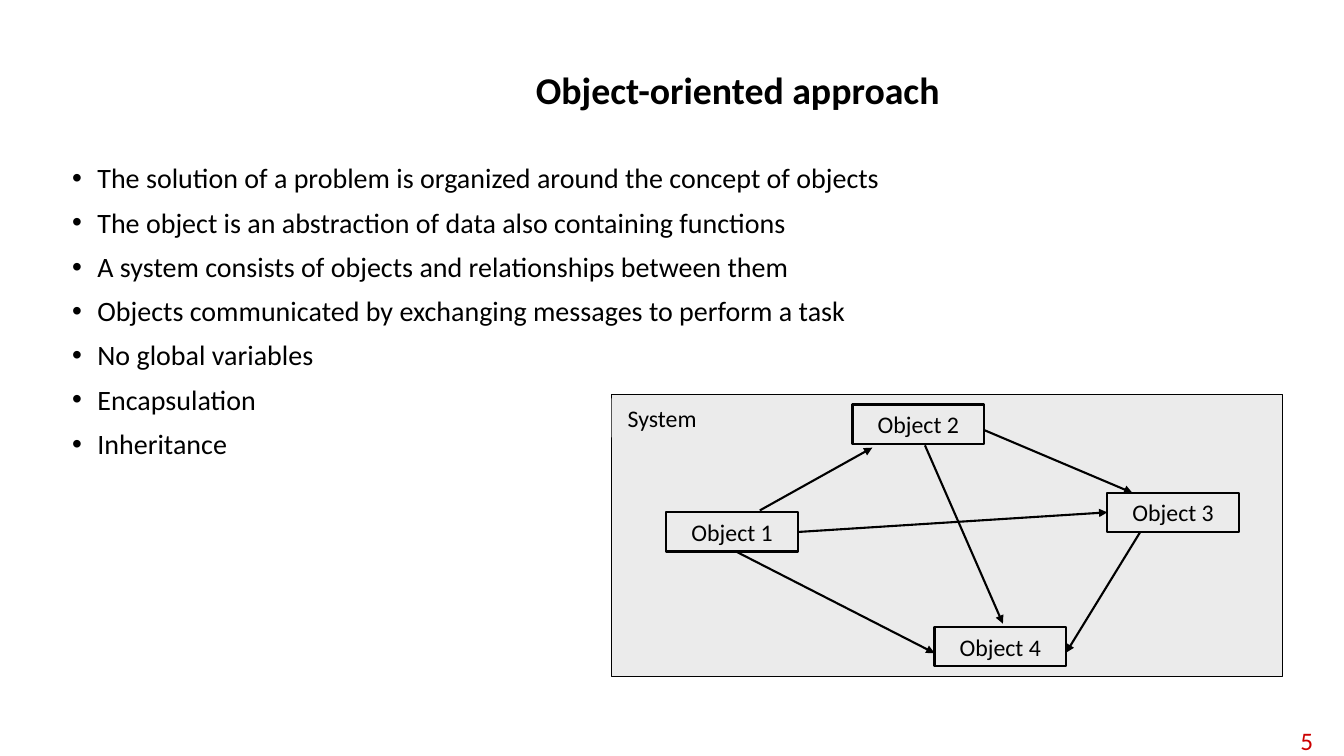
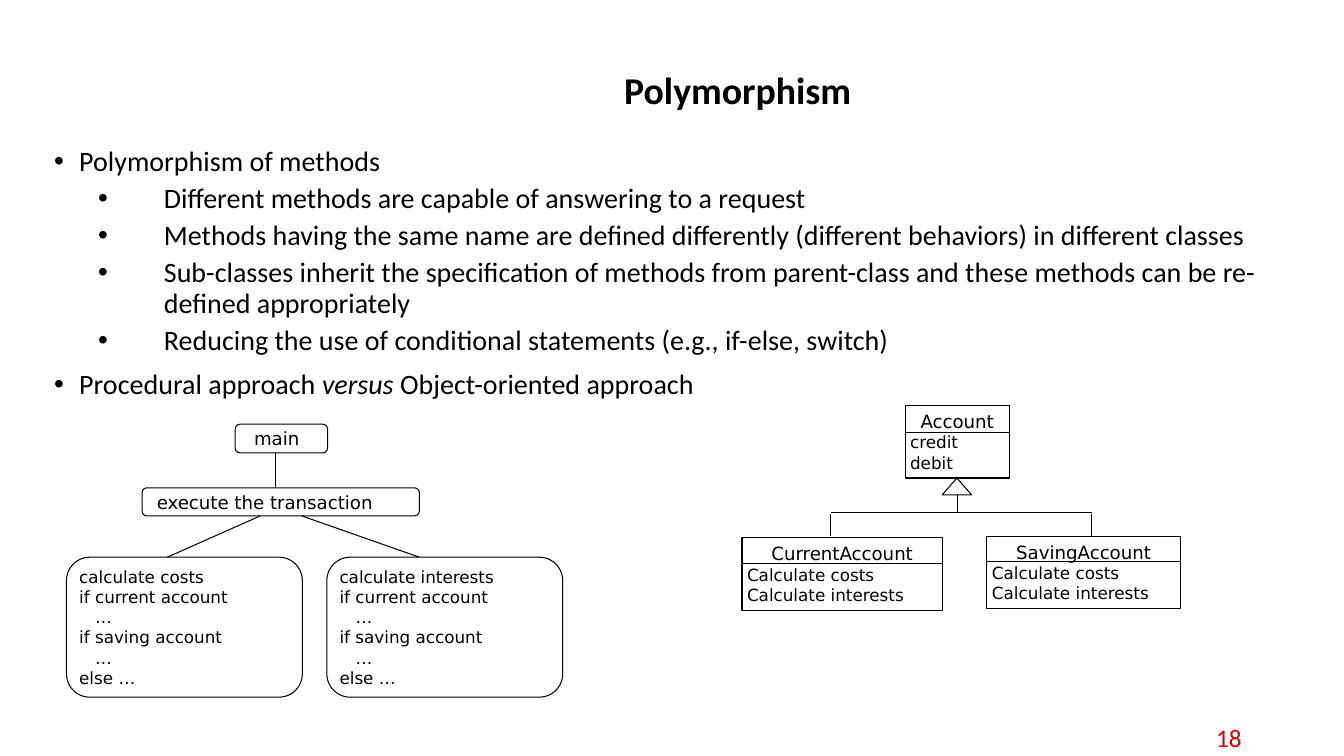
from lxml import etree
from pptx import Presentation
from pptx.dml.color import RGBColor
from pptx.enum import shapes, text
from pptx.oxml.ns import qn
from pptx.util import Pt

BLACK = RGBColor(0x00, 0x00, 0x00)
RED = RGBColor(0xCC, 0x00, 0x00)
GREY = RGBColor(0xEB, 0xEB, 0xEB)
BODY_FONT, DIAGRAM_FONT = "Calibri", "DejaVu Sans"
LEFT, CENTER, RIGHT = text.PP_ALIGN.LEFT, text.PP_ALIGN.CENTER, text.PP_ALIGN.RIGHT
TOP, MIDDLE = text.MSO_ANCHOR.TOP, text.MSO_ANCHOR.MIDDLE
RECTANGLE = shapes.MSO_SHAPE.RECTANGLE
ROUNDED = shapes.MSO_SHAPE.ROUNDED_RECTANGLE

# Per bullet level: left margin, hanging indent, space before
BULLET_LEVELS = [(18, -18, 10), (78.5, -47, 5)]

APPROACH_BULLETS = [
    (0, "The solution of a problem is organized around the concept of objects"),
    (0, "The object is an abstraction of data also containing functions"),
    (0, "A system consists of objects and relationships between them"),
    (0, "Objects communicated by exchanging messages to perform a task"),
    (0, "No global variables"),
    (0, "Encapsulation"),
    (0, "Inheritance"),
]
SYSTEM_BOX = (437, 281.5, 479, 201.5)
SYSTEM_LABEL_BOX = (437, 284.5, 72, 28)
OBJECT_SIZE = (94, 28)
OBJECTS = {
    "Object 2": (609, 289),
    "Object 4": (667.5, 448),
    "Object 1": (476, 366),
    "Object 3": (791, 352),
}
# Sender and receiver, each with the end point as fractions of its box
MESSAGES = [
    ("Object 2", (1, 0.65), "Object 3", (0.19, 0)),
    ("Object 1", (1, 0.5), "Object 3", (0, 0.5)),
    ("Object 1", (0.53, 1), "Object 4", (0, 0.66)),
    ("Object 1", (0.71, -0.05), "Object 2", (0.15, 1.1)),
    ("Object 2", (0.55, 1.04), "Object 4", (0.52, -0.09)),
    ("Object 3", (0.25, 1), "Object 4", (1, 0.65)),
]

# A text between asterisks is italic
POLYMORPHISM_BULLETS = [
    (0, "Polymorphism of methods"),
    (1, "Different methods are capable of answering to a request"),
    (1, "Methods having the same name are defined differently (different behaviors) "
        "in different classes"),
    (1, "Sub-classes inherit the specification of methods from parent-class and "
        "these methods can be re-defined appropriately"),
    (1, "Reducing the use of conditional statements (e.g., if-else, switch)"),
    (0, "Procedural approach *versus* Object-oriented approach"),
]
BRANCHES = ["if current account", "   …", "if saving account", "   …", "else …"]
# Box, text size, left inset, lines
PROCEDURES = [
    ((168, 303, 66, 20.5), 13, 12.5, ["main"]),
    ((101.5, 348.5, 198, 20), 13, 9.5, ["execute the transaction"]),
    ((47.5, 398, 168.5, 100), 12, 4.2, ["calculate costs", *BRANCHES]),
    ((233.5, 398, 168.5, 100), 12, 4.2, ["calculate interests", *BRANCHES]),
]
CALLS = [
    ((197, 323.5), (197, 348.5)),
    ((186, 368.5), (119.5, 398)),
    ((215.5, 368.5), (299.5, 398)),
]
# Name, box, height of the name compartment, methods
CLASSES = [
    ("Account", (646.5, 289.5, 74.5, 52), 19.5, ["credit", "debit"]),
    ("SavingAccount", (705, 383, 138, 52), 18,
     ["Calculate costs", "Calculate interests"]),
    ("CurrentAccount", (530, 384, 143, 52), 18.5,
     ["Calculate costs", "Calculate interests"]),
]
INHERITANCE_TRIANGLE = (673, 341.5, 21, 12)
INHERITANCE_LINES = [
    ((684, 353.5), (684, 366)),
    ((593.5, 366), (780, 366)),
    ((593.5, 367), (593.5, 383)),
    ((780, 367), (780, 383)),
]


def points(values):
    return [Pt(value) for value in values]


def set_font(paragraph, size, name=BODY_FONT, color=BLACK, bold=False):
    font = paragraph.font
    font.size, font.name, font.bold = Pt(size), name, bold
    font.color.rgb = color


def set_frame(frame, anchor=MIDDLE, insets=(0, 0, 0, 0)):
    frame.word_wrap = True
    frame.vertical_anchor = anchor
    (frame.margin_left, frame.margin_top,
     frame.margin_right, frame.margin_bottom) = points(insets)


def write_lines(frame, lines):
    """Fill a frame with (text, size, alignment, font name) lines."""
    for index, (line, size, alignment, name) in enumerate(lines):
        paragraph = frame.add_paragraph() if index else frame.paragraphs[0]
        paragraph.text = line
        paragraph.alignment = alignment
        set_font(paragraph, size, name)


def add_box(slide, box, kind=RECTANGLE, fill=None, line_width=0.75):
    shape = slide.shapes.add_shape(kind, *points(box))
    shape.shadow.inherit = False
    if fill is None:
        shape.fill.background()
    else:
        shape.fill.solid()
        shape.fill.fore_color.rgb = fill
    if line_width:
        shape.line.width = Pt(line_width)
        shape.line.color.rgb = BLACK
    else:
        shape.line.fill.background()
    return shape


def add_line(slide, start, end, width=0.75, arrow=False):
    connector = slide.shapes.add_connector(
        shapes.MSO_CONNECTOR.STRAIGHT, *points((*start, *end)))
    connector.line.width = Pt(width)
    connector.line.color.rgb = BLACK
    if arrow:
        etree.SubElement(connector.line._get_or_add_ln(), qn("a:tailEnd"), type="triangle")
    etree.SubElement(connector._element.spPr, qn("a:effectLst"))


def add_bullets(slide, box, bullets):
    frame = slide.shapes.add_textbox(*points(box)).text_frame
    frame.word_wrap = True
    for index, (level, content) in enumerate(bullets):
        paragraph = frame.add_paragraph() if index else frame.paragraphs[0]
        margin, indent, space_before = BULLET_LEVELS[level]
        properties = paragraph._p.get_or_add_pPr()
        properties.set("marL", str(Pt(margin)))
        properties.set("indent", str(Pt(indent)))
        etree.SubElement(properties, qn("a:buFont"), typeface="Arial")
        etree.SubElement(properties, qn("a:buChar"), char="•")
        paragraph.level = level
        paragraph.line_spacing = 0.9
        if index:
            paragraph.space_before = Pt(space_before)
        set_font(paragraph, 20)
        for part, piece in enumerate(content.split("*")):
            run = paragraph.add_run()
            run.text = piece
            if part % 2:
                run.font.italic = True


def add_titled_slide(presentation, title, number, number_box):
    slide = presentation.slides.add_slide(presentation.slide_layouts[5])
    placeholder = slide.shapes.title
    (placeholder.left, placeholder.top,
     placeholder.width, placeholder.height) = points((160.5, 29, 733, 73.5))
    placeholder.text_frame.text = title
    placeholder.text_frame.vertical_anchor = MIDDLE
    paragraph = placeholder.text_frame.paragraphs[0]
    paragraph.alignment = CENTER
    paragraph.line_spacing = 0.9
    set_font(paragraph, 27, bold=True)

    frame = slide.shapes.add_textbox(*points(number_box)).text_frame
    set_frame(frame, insets=(0, 3.6, 7.2, 3.6))
    frame.text = number
    frame.paragraphs[0].alignment = RIGHT
    set_font(frame.paragraphs[0], 18, color=RED)
    return slide


def add_label(slide, label, box, line_width):
    frame = add_box(slide, box, fill=GREY, line_width=line_width).text_frame
    set_frame(frame)
    write_lines(frame, [(label, 17, CENTER, BODY_FONT)])


def point_on_object(name, fractions):
    return [start + size * fraction for start, size, fraction
            in zip(OBJECTS[name], OBJECT_SIZE, fractions)]


def build_approach_slide(presentation):
    slide = add_titled_slide(presentation, "Object-oriented approach", "5",
                             (921, 515.5, 24, 26))
    add_bullets(slide, (44.5, 114, 850, 372), APPROACH_BULLETS)
    add_box(slide, SYSTEM_BOX, fill=GREY, line_width=0.5)
    add_label(slide, "System", SYSTEM_LABEL_BOX, line_width=0)
    for name, position in OBJECTS.items():
        add_label(slide, name, (*position, *OBJECT_SIZE), line_width=1.5)
    for sender, start, receiver, end in MESSAGES:
        add_line(slide, point_on_object(sender, start),
                 point_on_object(receiver, end), width=1.5, arrow=True)


def build_polymorphism_slide(presentation):
    slide = add_titled_slide(presentation, "Polymorphism", "18", (678, 514, 216, 26))
    add_bullets(slide, (31.5, 101.5, 898, 394.5), POLYMORPHISM_BULLETS)

    for box, size, inset, lines in PROCEDURES:
        frame = add_box(slide, box, ROUNDED).text_frame
        set_frame(frame, insets=(inset, 0, 0, 0))
        write_lines(frame, [(line, size, LEFT, DIAGRAM_FONT) for line in lines])

    for name, box, name_height, methods in CLASSES:
        frame = add_box(slide, box).text_frame
        set_frame(frame, TOP, (3.6, 3.6, 3.6, 3.6))
        write_lines(frame, [(name, 13, CENTER, DIAGRAM_FONT)]
                    + [(method, 12, LEFT, DIAGRAM_FONT) for method in methods])
        left, top, width, _ = box
        divider = top + name_height
        add_line(slide, (left, divider), (left + width, divider))

    add_box(slide, INHERITANCE_TRIANGLE, shapes.MSO_SHAPE.ISOSCELES_TRIANGLE)
    for start, end in CALLS + INHERITANCE_LINES:
        add_line(slide, start, end)


def main():
    presentation = Presentation()
    presentation.slide_width, presentation.slide_height = Pt(960), Pt(540)
    build_approach_slide(presentation)
    build_polymorphism_slide(presentation)
    presentation.save("out.pptx")


if __name__ == "__main__":
    main()
